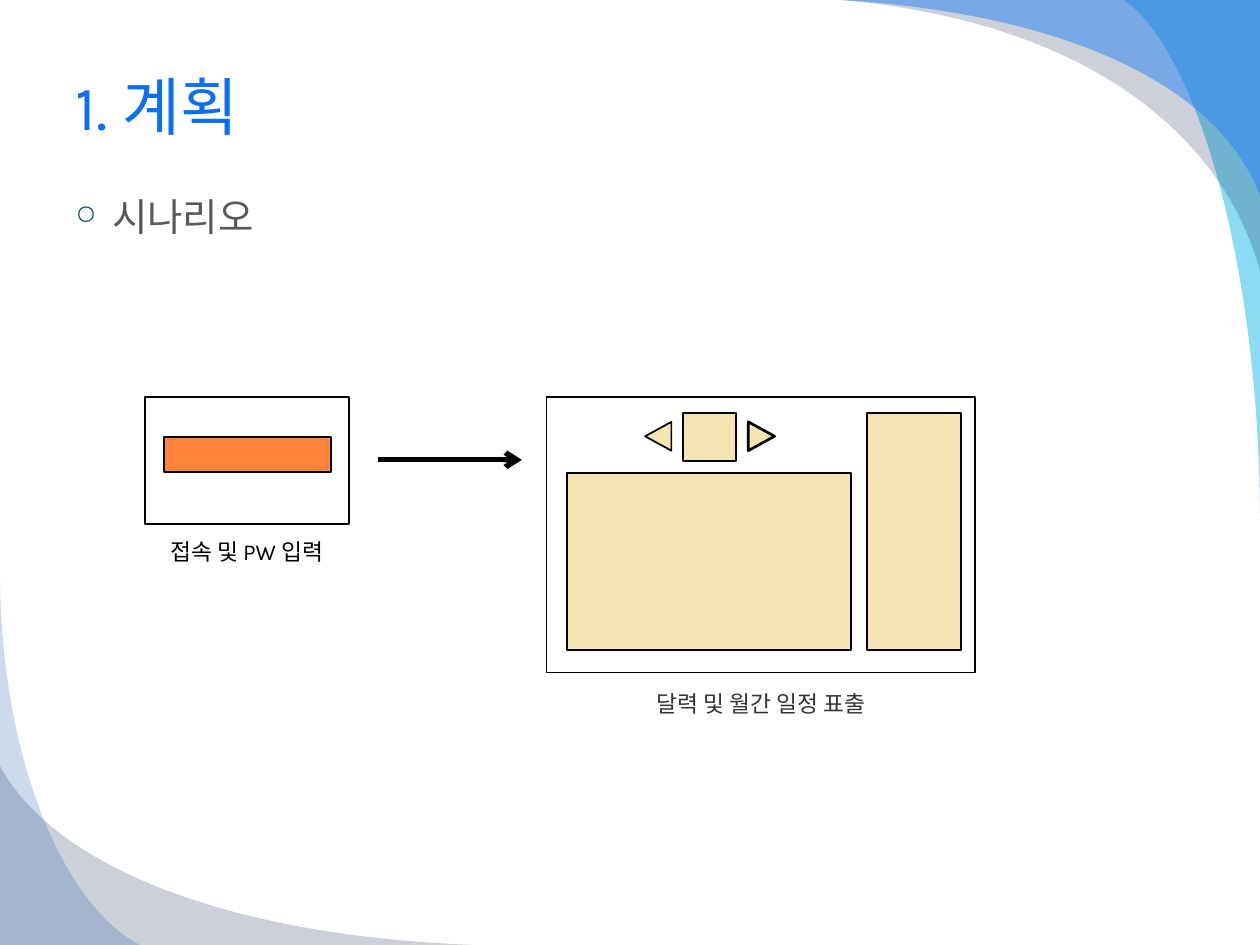
"""Build the planning slide: a login screen leading to a monthly calendar screen."""
from typing import NamedTuple, Optional

from lxml.etree import SubElement
from pptx import Presentation
from pptx.dml.color import RGBColor
from pptx.enum.shapes import MSO_CONNECTOR as Connector, MSO_SHAPE as Preset
from pptx.enum.text import MSO_ANCHOR as Anchor, PP_ALIGN as Align
from pptx.oxml.ns import qn
from pptx.util import Cm, Pt

BLACK, SAND, ORANGE = "000000", "F4E5B2", "FF843A"
TOP_RIGHT, BOTTOM_LEFT = (25.4, 0), (0, 19.05)
CURVE_STEPS = 40

Point = tuple[float, float]


class Sweep(NamedTuple):
    corner: Point
    curve: tuple[Point, Point, Point, Point]
    color: str
    opacity: int


class Block(NamedTuple):
    left: float
    top: float
    width: float
    height: float
    fill: Optional[str] = None
    preset: Preset = Preset.RECTANGLE
    rotation: int = 0
    line_width: float = 1


class Label(NamedTuple):
    text: str
    left: float
    top: float
    width: float
    height: float
    style: dict


SWEEPS = [
    Sweep(TOP_RIGHT, ((22.66, 0), (24.13, 1.02), (25.37, 5.33), (25.4, 10.36)), "00B1E9", 45),
    Sweep(TOP_RIGHT, ((16.94, 0), (21.84, 0.43), (24.64, 2.67), (25.4, 5.46)), "021741", 20),
    Sweep(TOP_RIGHT, ((16.94, 0), (21.84, 0.3), (24.64, 1.9), (25.4, 3.94)), "247FF4", 49),
    Sweep(BOTTOM_LEFT, ((0, 15.44), (1.02, 17.35), (4.32, 18.85), (9.53, 19.05)), "021741", 20),
    Sweep(BOTTOM_LEFT, ((0, 11.63), (0.03, 15.37), (1.32, 18.29), (2.82, 19.05)), "084AA1", 20),
]

BLOCKS = [
    Block(2.92, 8, 4.11, 2.57),
    Block(3.3, 8.81, 3.38, 0.71, ORANGE),
    Block(11.02, 8, 8.64, 5.56),
    Block(11.43, 9.53, 5.72, 3.58, SAND),
    Block(17.48, 8.33, 1.9, 4.78, SAND),
    Block(13.77, 8.33, 1.07, 0.97, SAND),
    Block(12.98, 8.53, 0.58, 0.53, SAND, Preset.ISOSCELES_TRIANGLE, 270),
    Block(15.06, 8.53, 0.58, 0.53, SAND, Preset.ISOSCELES_TRIANGLE, 90, 1.5),
]

LABELS = [
    Label("1. 계획", 1.27, 0.84, 22.86, 2.57,
          dict(size=36, color="0C6FF2", anchor=Anchor.MIDDLE)),
    Label("시나리오", 1.27, 3.76, 22.86, 1.37,
          dict(size=22, color="595959", bullet="○")),
    Label("접속 및 PW 입력", 2.92, 10.72, 4.11, 0.79,
          dict(size=13, color=BLACK, align=Align.CENTER)),
    Label("달력 및 월간 일정 표출", 11.02, 13.79, 8.64, 0.79,
          dict(size=13, color="323232", font="Arial", align=Align.CENTER)),
]


def set_color(color_format, value: str) -> None:
    """Apply a hex colour to a fill's or font's colour."""
    color_format.rgb = RGBColor.from_string(value)


def bezier_point(curve: tuple[Point, ...], t: float) -> tuple[int, int]:
    """Return the point of a cubic curve at t, as lengths."""
    weights = ((1 - t) ** 3, 3 * t * (1 - t) ** 2, 3 * t * t * (1 - t), t ** 3)
    x, y = (sum(w * p[axis] for w, p in zip(weights, curve)) for axis in (0, 1))
    return Cm(x), Cm(y)


def add_sweep(slide, sweep: Sweep) -> None:
    """Draw a translucent corner area bounded by a curve."""
    builder = slide.shapes.build_freeform(*(Cm(value) for value in sweep.corner))
    builder.add_line_segments(
        [bezier_point(sweep.curve, i / CURVE_STEPS) for i in range(CURVE_STEPS + 1)])
    shape = builder.convert_to_shape()
    shape.shadow.inherit = False
    shape.line.fill.background()
    shape.fill.solid()
    set_color(shape.fill.fore_color, sweep.color)
    color = shape.fill._xPr.find(qn("a:solidFill"))[0]
    SubElement(color, qn("a:alpha"), val=str(sweep.opacity * 1000))


def add_block(slide, block: Block) -> None:
    """Draw an outlined part of a screen sketch."""
    shape = slide.shapes.add_shape(block.preset, *(Cm(value) for value in block[:4]))
    shape.shadow.inherit = False
    shape.rotation = block.rotation
    if block.fill:
        shape.fill.solid()
        set_color(shape.fill.fore_color, block.fill)
    else:
        shape.fill.background()
    set_color(shape.line.color, BLACK)
    shape.line.width = Pt(block.line_width)


def add_bullet(paragraph, character: str) -> None:
    """Give a paragraph a hanging coloured bullet."""
    properties = paragraph._p.get_or_add_pPr()
    indent = Cm(0.74)
    properties.set("marL", str(indent))
    properties.set("indent", str(-indent))
    color = SubElement(properties, qn("a:buClr"))
    SubElement(color, qn("a:srgbClr"), val="005876")
    SubElement(properties, qn("a:buSzPct"), val="70000")
    SubElement(properties, qn("a:buChar"), char=character)


def add_text(slide, text: str, left: float, top: float, width: float, height: float, *,
             size: float, color: str, font: str = "Karla", align: Align = Align.LEFT,
             anchor: Anchor = Anchor.TOP, bullet: str = "") -> None:
    """Add a one-paragraph text box."""
    box = slide.shapes.add_textbox(Cm(left), Cm(top), Cm(width), Cm(height))
    frame = box.text_frame
    frame.word_wrap = True
    frame.vertical_anchor = anchor
    paragraph = frame.paragraphs[0]
    paragraph.alignment = align
    if bullet:
        add_bullet(paragraph, bullet)
    run = paragraph.add_run()
    run.text = text
    run.font.name = font
    run.font.size = Pt(size)
    set_color(run.font.color, color)


def add_arrow(slide, left: float, right: float, height: float) -> None:
    """Draw a horizontal arrow to the right."""
    arrow = slide.shapes.add_connector(
        Connector.STRAIGHT, Cm(left), Cm(height), Cm(right), Cm(height))
    set_color(arrow.line.color, BLACK)
    arrow.line.width = Pt(3)
    SubElement(arrow.line._get_or_add_ln(), qn("a:tailEnd"), type="arrow")
    SubElement(arrow._element.spPr, qn("a:effectLst"))


def main() -> None:
    """Build and save the slide."""
    presentation = Presentation()
    presentation.slide_width, presentation.slide_height = Cm(25.4), Cm(19.05)
    slide = presentation.slides.add_slide(presentation.slide_layouts[6])
    for sweep in SWEEPS:
        add_sweep(slide, sweep)
    for block in BLOCKS:
        add_block(slide, block)
    add_arrow(slide, 7.62, 10.52, 9.27)
    for label in LABELS:
        add_text(slide, *label[:5], **label.style)
    presentation.save("out.pptx")


if __name__ == "__main__":
    main()
